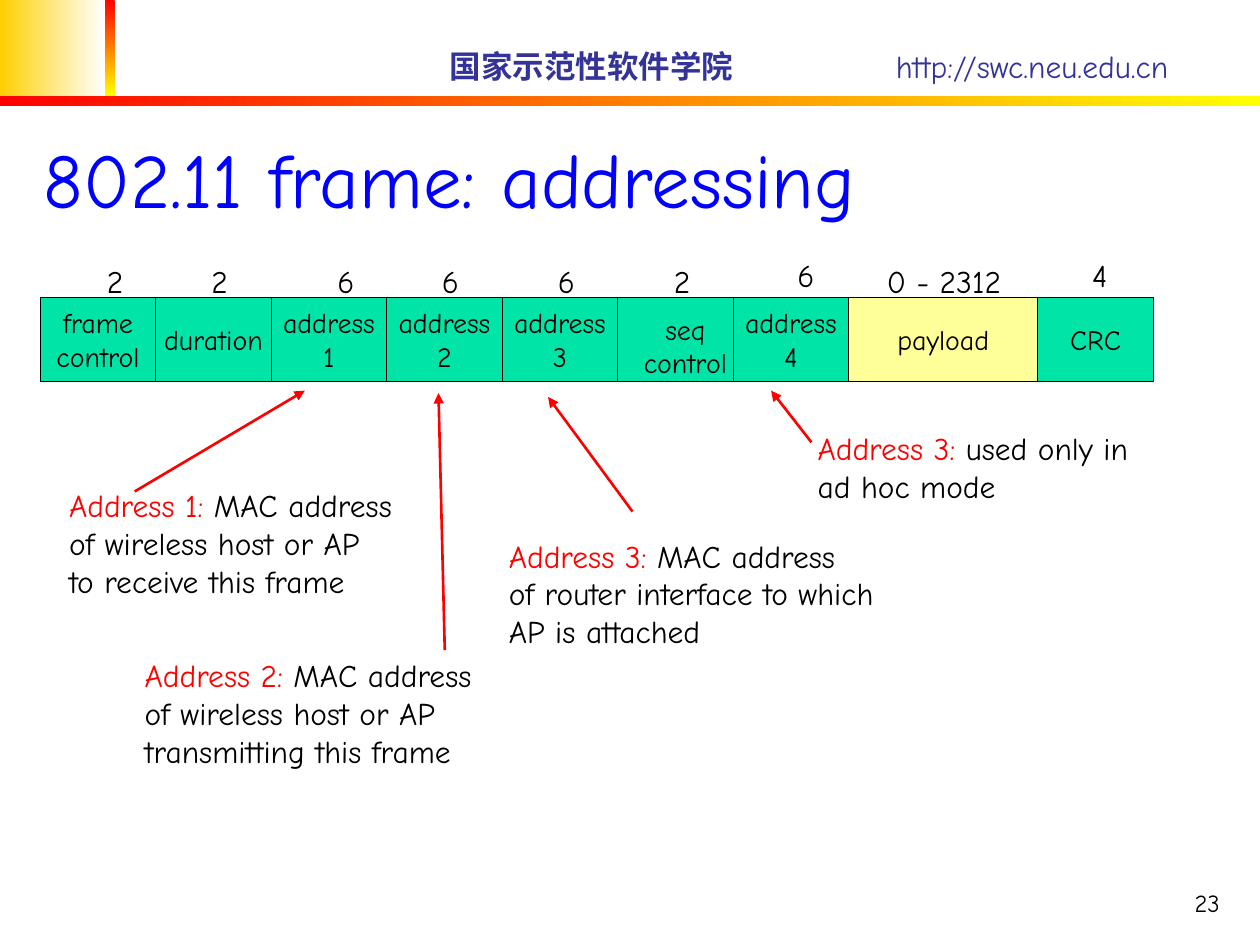
from dataclasses import dataclass

from lxml.etree import SubElement
from pptx import Presentation
from pptx.dml.color import RGBColor
from pptx.enum.shapes import MSO_CONNECTOR, MSO_SHAPE
from pptx.enum.text import MSO_ANCHOR, PP_ALIGN
from pptx.oxml.ns import qn
from pptx.util import Inches, Pt


@dataclass(frozen=True)
class Theme:
    font: str = "Comic Neue"
    ink: str = "000000"
    accent: str = "FF0000"
    title: str = "0000FF"
    header: str = "333399"
    gold: str = "FFCF01"
    yellow: str = "FFFF00"
    white: str = "FFFFFF"
    field: str = "00E4A8"
    payload: str = "FFFF99"
    title_size: int = 44
    body_size: int = 18
    field_size: int = 16
    number_size: int = 14


THEME = Theme()
FIELD_WIDTH = 11 / 12
PAYLOAD_WIDTH = 1.5
FRAME_LEFT, FRAME_TOP, FRAME_HEIGHT = 0.32, 2.36, 0.67

FIELDS = [
    ("frame\ncontrol", "2", 0.75, 2.03),
    ("duration", "2", 1.58, 2.03),
    ("address\n1", "6", 2.58, 2.03),
    ("address\n2", "6", 3.41, 2.03),
    ("address\n3", "6", 4.33, 2.03),
    ("", "2", 5.25, 2.03),
    ("address\n4", "6", 6.23, 1.98),
    ("payload", "0 - 2312", 6.94, 2.03),
    ("CRC", "4", 8.57, 1.98),
]

NOTES = [
    ("Address 1:", " MAC address\nof wireless host or AP\nto receive this frame",
     (0.45, 3.81, 2.77, 1)),
    ("Address 2:", " MAC address\nof wireless host or AP\ntransmitting this frame",
     (1.05, 5.16, 2.8, 1)),
    ("Address 3:", " MAC address\nof router interface to which AP is attached",
     (3.94, 4.21, 3.34, 1)),
    ("Address 3:", " used only in ad hoc mode", (6.39, 3.36, 2.85, 0.7)),
]

ARROWS = [
    ((1.07, 3.9), (2.42, 3.1)),
    ((3.53, 5.16), (3.48, 3.12)),
    ((5.02, 4.06), (4.35, 3.15)),
    ((6.44, 3.51), (6.12, 3.1)),
]


def rgb(color):
    return RGBColor.from_string(color)


def style_run(r, size, color, bold=False):
    r.font.name = THEME.font
    r.font.size = Pt(size)
    r.font.bold = bold
    r.font.color.rgb = rgb(color)


def write(tf, text, size, color, align=PP_ALIGN.LEFT):
    tf.text = text
    for p in tf.paragraphs:
        p.alignment = align
        for r in p.runs:
            style_run(r, size, color)


def add_text(s, text, box, size, color=THEME.ink, align=PP_ALIGN.LEFT,
             anchor=MSO_ANCHOR.TOP, wrap=False):
    tf = s.shapes.add_textbox(*map(Inches, box)).text_frame
    tf.word_wrap = wrap
    tf.vertical_anchor = anchor
    write(tf, text, size, color, align)
    return tf


def add_rect(s, box):
    sp = s.shapes.add_shape(MSO_SHAPE.RECTANGLE, *map(Inches, box))
    sp.shadow.inherit = False
    return sp


def add_gradient_bar(s, box, start, end, angle=0):
    sp = add_rect(s, box)
    sp.line.fill.background()
    sp.fill.gradient()
    sp.fill.gradient_angle = angle
    for stop, color, position in zip(sp.fill.gradient_stops, (start, end), (0, 1)):
        stop.color.rgb = rgb(color)
        stop.position = position


def add_field(s, text, left, width, color):
    sp = add_rect(s, (left, FRAME_TOP, width, FRAME_HEIGHT))
    sp.fill.solid()
    sp.fill.fore_color.rgb = rgb(color)
    sp.line.color.rgb = rgb(THEME.ink)
    sp.line.width = Pt(0.75)
    if text:
        tf = sp.text_frame
        tf.word_wrap = False
        tf.vertical_anchor = MSO_ANCHOR.MIDDLE
        write(tf, text, THEME.field_size, THEME.ink, PP_ALIGN.CENTER)


def add_frame(s):
    left = FRAME_LEFT
    for name, length, length_left, length_top in FIELDS:
        is_payload = name == "payload"
        width = PAYLOAD_WIDTH if is_payload else FIELD_WIDTH
        add_field(s, name, left, width, THEME.payload if is_payload else THEME.field)
        length_width = 1.15 if is_payload else 0.33
        add_text(s, length, (length_left, length_top, length_width, 0.4), THEME.body_size)
        left += width
    add_text(s, "seq\ncontrol", (5.01, 2.43, 0.86, 0.64), THEME.field_size,
             align=PP_ALIGN.CENTER)


def add_note(s, label, text, box):
    tf = add_text(s, text, box, THEME.body_size, wrap=True)
    p = tf.paragraphs[0]
    first_line = p.text
    p.text = label
    style_run(p.runs[0], THEME.body_size, THEME.accent)
    r = p.add_run()
    r.text = first_line
    style_run(r, THEME.body_size, THEME.ink)


def add_arrow(s, start, end):
    line = s.shapes.add_connector(MSO_CONNECTOR.STRAIGHT, *map(Inches, start + end))
    line.line.color.rgb = rgb(THEME.accent)
    line.line.width = Pt(1.5)
    SubElement(line.line._get_or_add_ln(), qn("a:tailEnd"), type="triangle")
    SubElement(line._element.spPr, qn("a:effectLst"))


def add_header(s):
    add_gradient_bar(s, (0, 0, 0.83, 0.76), THEME.gold, THEME.white)
    add_gradient_bar(s, (0.83, 0, 0.08, 0.76), THEME.accent, THEME.yellow, 270)
    add_gradient_bar(s, (0, 0.76, 10, 0.08), THEME.accent, THEME.yellow)
    tf = add_text(s, "国家示范性软件学院", (3.07, 0.32, 6.7, 0.4), THEME.body_size,
                  THEME.header, anchor=MSO_ANCHOR.MIDDLE, wrap=True)
    tf.margin_left = Inches(0.5)
    p = tf.paragraphs[0]
    p.runs[0].font.bold = True
    tabs = SubElement(p._p.get_or_add_pPr(), qn("a:tabLst"))
    SubElement(tabs, qn("a:tab"), pos=str(Inches(3.54)), algn="l")
    r = p.add_run()
    r.text = "\thttp://swc.neu.edu.cn"
    style_run(r, THEME.body_size, THEME.header)


def main():
    prs = Presentation()
    prs.slide_width, prs.slide_height = Inches(10), Inches(7.5)
    s = prs.slides.add_slide(prs.slide_layouts[6])
    add_header(s)
    add_text(s, "802.11 frame: addressing", (0.25, 0.23, 9.53, 1.6), THEME.title_size,
             THEME.title, anchor=MSO_ANCHOR.BOTTOM, wrap=True)
    add_frame(s)
    for label, text, box in NOTES:
        add_note(s, label, text, box)
    for start, end in ARROWS:
        add_arrow(s, start, end)
    add_text(s, "23", (7.7, 6.83, 2.08, 0.5), THEME.number_size,
             align=PP_ALIGN.RIGHT, anchor=MSO_ANCHOR.BOTTOM, wrap=True)
    prs.save("out.pptx")


if __name__ == "__main__":
    main()
